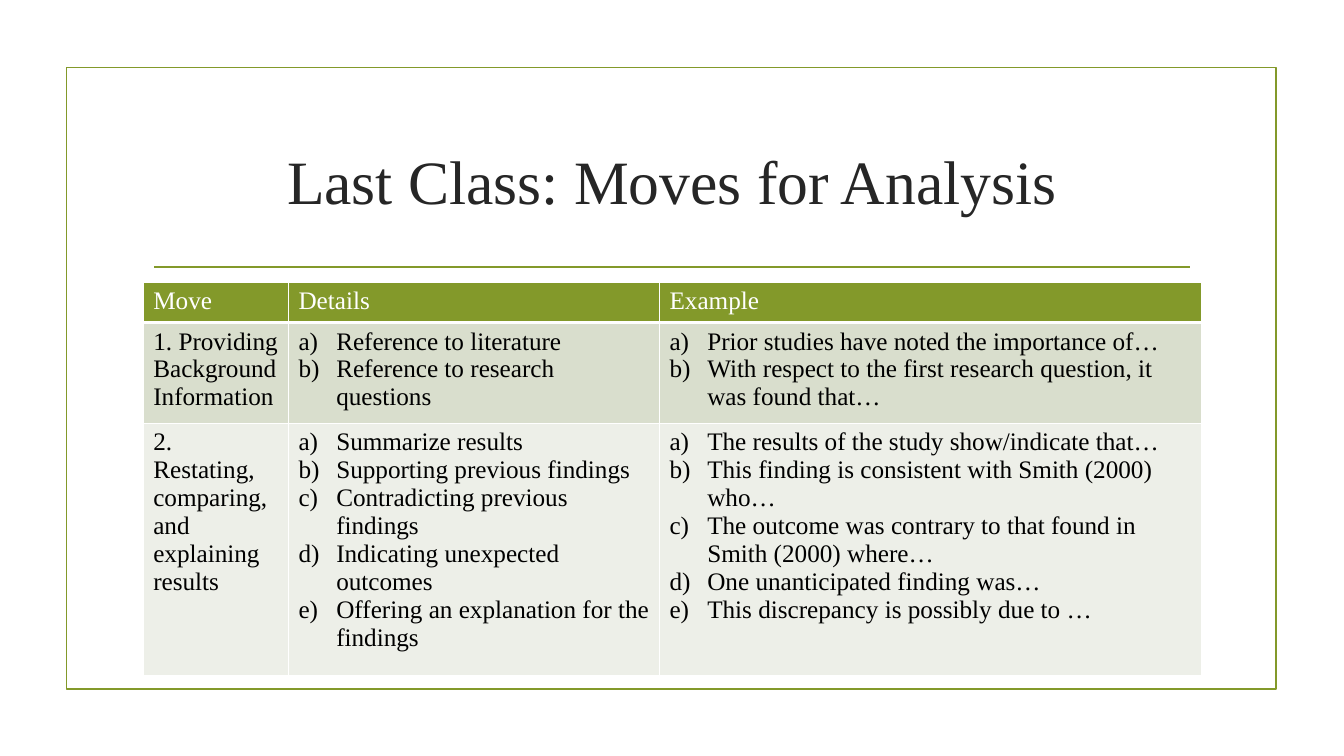
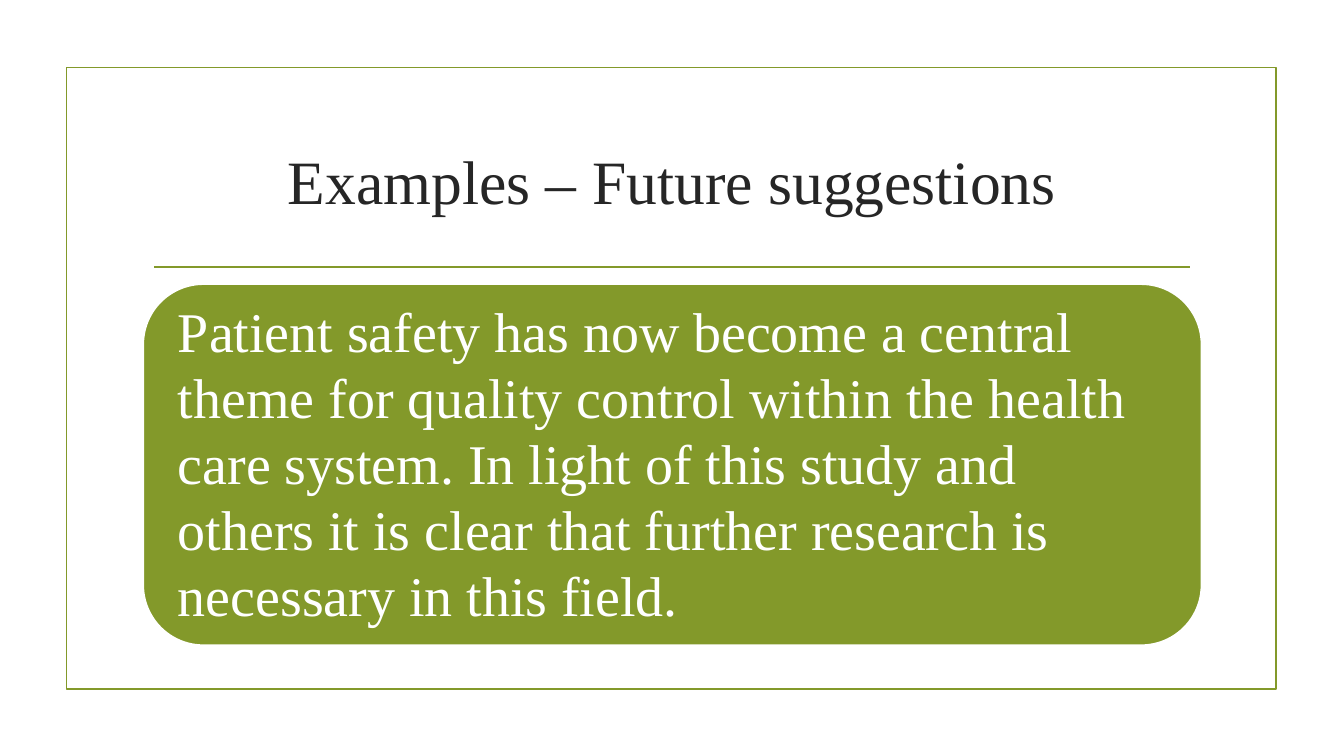
"""Build two framed slides: a table of analysis moves and a quoted example."""
from dataclasses import dataclass

from lxml.etree import SubElement
from pptx import Presentation
from pptx.dml.color import RGBColor
from pptx.enum.shapes import MSO_CONNECTOR, MSO_SHAPE
from pptx.enum.text import MSO_ANCHOR as Anchor, PP_ALIGN as Align
from pptx.oxml.ns import qn
from pptx.slide import Slide
from pptx.table import _Cell as Cell
from pptx.text.text import _Paragraph as Paragraph
from pptx.util import Cm, Pt

GREEN = RGBColor(0x83, 0x99, 0x2A)
WHITE = RGBColor(0xFF, 0xFF, 0xFF)
BLACK = RGBColor(0x00, 0x00, 0x00)
TITLE_GREY = RGBColor(0x26, 0x26, 0x26)
SAGE = RGBColor(0xD9, 0xDE, 0xCD)
PALE_SAGE = RGBColor(0xED, 0xEF, 0xE8)

FONT = "Times New Roman"
OUTLINE = Pt(1.25)
CONTENT_LEFT, CONTENT_WIDTH = Cm(3.61), Cm(26.67)
COLUMN_WIDTHS = Cm(3.66), Cm(9.35), Cm(13.66)
LIST_INDENT = Cm(0.95)


@dataclass(frozen=True)
class Move:
    """One table row: a move, its details and matching examples."""

    name: str
    details: tuple[str, ...]
    examples: tuple[str, ...]
    fill: RGBColor
    height: int


HEADINGS = "Move", "Details", "Example"
HEADING_HEIGHT = Cm(1)
MOVES = (
    Move(
        "1. Providing Background Information",
        ("Reference to literature", "Reference to research questions"),
        (
            "Prior studies have noted the importance of…",
            "With respect to the first research question, it was found that…",
        ),
        SAGE,
        Cm(2.37),
    ),
    Move(
        "2. Restating, comparing, and explaining results",
        (
            "Summarize results",
            "Supporting previous findings",
            "Contradicting previous findings",
            "Indicating unexpected outcomes",
            "Offering an explanation for the findings",
        ),
        (
            "The results of the study show/indicate that…",
            "This finding is consistent with Smith (2000) who…",
            "The outcome was contrary to that found in Smith (2000) where…",
            "One unanticipated finding was…",
            "This discrepancy is possibly due to …",
        ),
        PALE_SAGE,
        Cm(5.87),
    ),
)
QUOTE = (
    "Patient safety has now become a central theme for quality control within "
    "the health care system. In light of this study and others it is clear "
    "that further research is necessary in this field."
)


def add_text(paragraph: Paragraph, text: str, size: int, color: RGBColor) -> None:
    """Add one styled run."""
    run = paragraph.add_run()
    run.text = text
    run.font.name = FONT
    run.font.size = Pt(size)
    run.font.color.rgb = color


def add_framed_slide(deck: Presentation, heading: str) -> Slide:
    """Add a blank slide with the shared frame, rule and title."""
    slide = deck.slides.add_slide(deck.slide_layouts[6])
    frame = slide.shapes.add_shape(
        MSO_SHAPE.RECTANGLE, Cm(1.68), Cm(1.7), Cm(30.48), Cm(15.67)
    )
    frame.shadow.inherit = False
    frame.fill.background()
    rule = slide.shapes.add_connector(
        MSO_CONNECTOR.STRAIGHT, Cm(3.89), Cm(6.73), Cm(30), Cm(6.73)
    )
    for outlined in (frame, rule):
        outlined.line.color.rgb = GREEN
        outlined.line.width = OUTLINE
    SubElement(rule._element.spPr, qn("a:effectLst"))

    title = slide.shapes.add_textbox(
        CONTENT_LEFT, Cm(2.72), CONTENT_WIDTH, Cm(3.63)
    ).text_frame
    title.word_wrap = True
    title.vertical_anchor = Anchor.MIDDLE
    title.paragraphs[0].alignment = Align.CENTER
    add_text(title.paragraphs[0], heading, 44, TITLE_GREY)
    return slide


def style_cell(cell: Cell, fill: RGBColor, bottom: float = 1) -> None:
    """Give a cell white borders and a solid fill."""
    properties = cell._tc.get_or_add_tcPr()
    for side, points in (("L", 1), ("R", 1), ("T", 1), ("B", bottom)):
        border = SubElement(properties, qn(f"a:ln{side}"), w=str(Pt(points)))
        SubElement(
            SubElement(border, qn("a:solidFill")), qn("a:srgbClr"), val=str(WHITE)
        )
    cell.fill.solid()
    cell.fill.fore_color.rgb = fill


def fill_lettered_list(cell: Cell, items: tuple[str, ...]) -> None:
    """Write items as a), b), c) with a hanging indent."""
    for index, item in enumerate(items):
        frame = cell.text_frame
        paragraph = frame.add_paragraph() if index else frame.paragraphs[0]
        properties = paragraph._p.get_or_add_pPr()
        properties.set("marL", str(LIST_INDENT))
        properties.set("indent", str(-LIST_INDENT))
        SubElement(properties, qn("a:buFont"), typeface="+mj-lt")
        SubElement(properties, qn("a:buAutoNum"), type="alphaLcParenR")
        add_text(paragraph, item, 18, BLACK)


def add_moves_table(slide: Slide) -> None:
    """Add the table of moves, details and examples."""
    heights = HEADING_HEIGHT, *(move.height for move in MOVES)
    table = slide.shapes.add_table(
        len(heights), len(HEADINGS), CONTENT_LEFT, Cm(7.11), CONTENT_WIDTH, sum(heights)
    ).table
    table.first_row = table.horz_banding = False
    for column, width in zip(table.columns, COLUMN_WIDTHS):
        column.width = width
    for row, height in zip(table.rows, heights):
        row.height = height

    for index, heading in enumerate(HEADINGS):
        cell = table.cell(0, index)
        style_cell(cell, GREEN, bottom=3)
        add_text(cell.text_frame.paragraphs[0], heading, 18, WHITE)
    for index, move in enumerate(MOVES, start=1):
        name, details, examples = table.rows[index].cells
        for cell in (name, details, examples):
            style_cell(cell, move.fill)
        add_text(name.text_frame.paragraphs[0], move.name, 18, BLACK)
        fill_lettered_list(details, move.details)
        fill_lettered_list(examples, move.examples)


def add_quote(slide: Slide, text: str) -> None:
    """Add the rounded panel that holds the example."""
    panel = slide.shapes.add_shape(
        MSO_SHAPE.ROUNDED_RECTANGLE, CONTENT_LEFT, Cm(7.16), CONTENT_WIDTH, Cm(9.1)
    )
    panel.shadow.inherit = False
    panel.fill.solid()
    panel.fill.fore_color.rgb = GREEN
    panel.line.color.rgb = WHITE
    panel.line.width = OUTLINE
    frame = panel.text_frame
    frame.word_wrap = True
    frame.vertical_anchor = Anchor.MIDDLE
    frame.margin_left = frame.margin_right = Cm(0.43)
    frame.margin_top = frame.margin_bottom = Cm(0.43)
    paragraph = frame.paragraphs[0]
    paragraph.alignment = Align.LEFT
    paragraph.line_spacing = 0.98
    add_text(paragraph, text, 40, WHITE)


def main() -> None:
    """Build and save the deck."""
    deck = Presentation()
    deck.slide_width, deck.slide_height = Cm(33.87), Cm(19.05)
    add_moves_table(add_framed_slide(deck, "Last Class: Moves for Analysis"))
    add_quote(add_framed_slide(deck, "Examples – Future suggestions"), QUOTE)
    deck.save("out.pptx")


if __name__ == "__main__":
    main()
